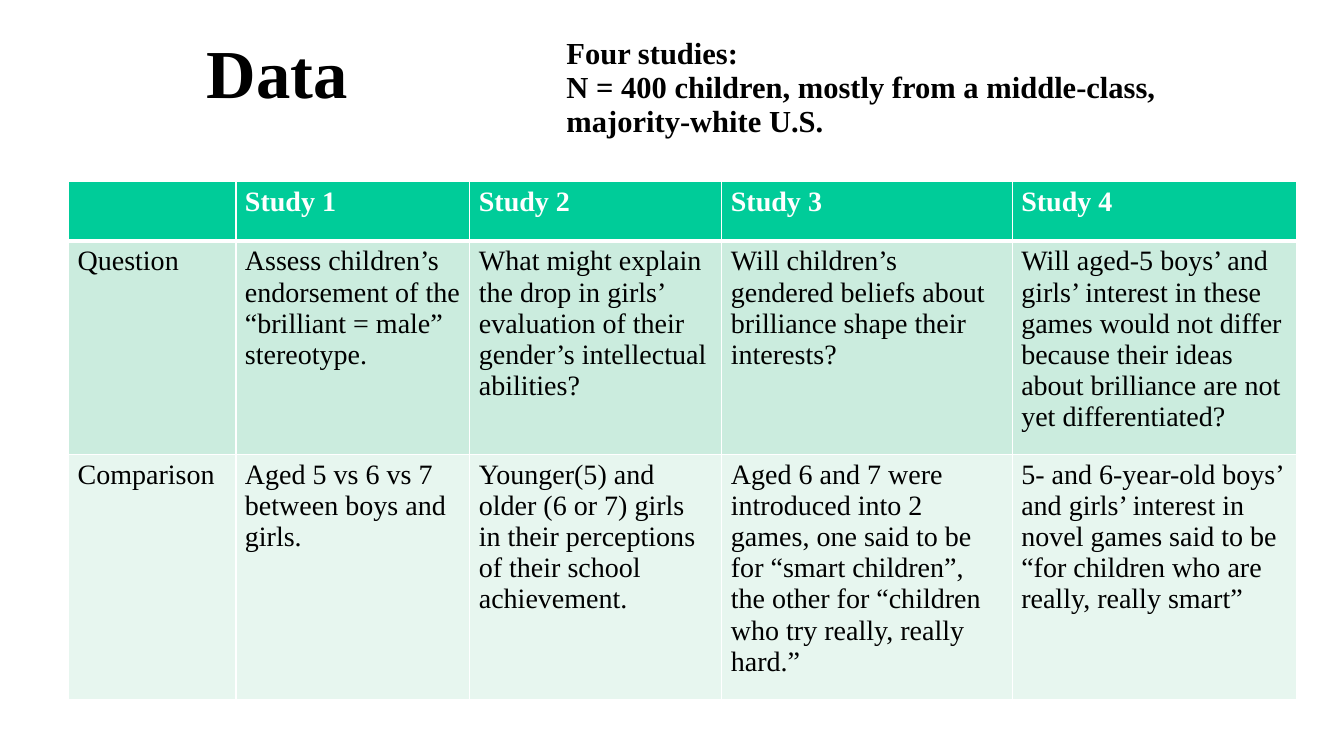
"""Build the Data slide: a heading, the sample and a table of four studies."""
from lxml.etree import SubElement
from pptx import Presentation
from pptx.dml.color import RGBColor
from pptx.enum.text import MSO_AUTO_SIZE
from pptx.oxml.ns import qn
from pptx.util import Inches, Pt

FONT = "Times New Roman"
COLORS = {"black": "000000", "white": "FFFFFF", "header": "00CC99",
          "question": "CBECDE", "comparison": "E7F6EF"}

HEADINGS = [
    (["Data"], (1.95, 0.32, 1.61, 0.87), 49, False),
    (["Four studies:",
      "N = 400 children, mostly from a middle-class, majority-white U.S. "],
     (5.52, 0.32, 6.14, 1.12), 21.8, True),
]

STUDIES = [
    ["", "Study 1", "Study 2", "Study 3", "Study 4"],
    ["Question",
     "Assess children’s endorsement of the “brilliant = male” stereotype.",
     "What might explain the drop in girls’ evaluation of their gender’s "
     "intellectual abilities?",
     "Will children’s gendered beliefs about brilliance shape their interests?",
     "Will aged-5 boys’ and girls’ interest in these games would not differ "
     "because their ideas about brilliance are not yet differentiated?"],
    ["Comparison",
     "Aged 5 vs 6 vs 7 between boys and girls.",
     "Younger(5) and older (6 or 7) girls in their perceptions of their school "
     "achievement.",
     "Aged 6 and 7 were introduced into 2 games, one said to be for “smart "
     "children”, the other for “children who try really, really hard.”",
     "5- and 6-year-old boys’ and girls’ interest in novel games said to be "
     "“for children who are really, really smart”"],
]
ROW_FILLS = ["header", "question", "comparison"]
COL_WIDTHS = [1.66, 2.32, 2.5, 2.88, 2.82]
ROW_HEIGHTS = [0.59, 2.12, 2.12]
TABLE_LEFT, TABLE_TOP = 0.68, 1.8


def rgb(name):
    return RGBColor.from_string(COLORS[name])


def style(p, size, color, bold):
    for r in p.runs:
        r.font.name, r.font.size, r.font.bold = FONT, Pt(size), bold
        r.font.color.rgb = rgb(color)


def add_heading(s, lines, box, size, wrap):
    tf = s.shapes.add_textbox(*map(Inches, box)).text_frame
    tf.word_wrap = wrap
    tf.auto_size = MSO_AUTO_SIZE.SHAPE_TO_FIT_TEXT
    tf.text = "\n".join(lines)
    for p in tf.paragraphs:
        p.line_spacing = 0.93
        style(p, size, "black", True)


def set_borders(cell, widths):
    tcPr = cell._tc.get_or_add_tcPr()
    for i, (side, width) in enumerate(widths.items()):
        ln = SubElement(tcPr, qn(f"a:ln{side}"), w=str(Pt(width)))
        fill = SubElement(ln, qn("a:solidFill"))
        SubElement(fill, qn("a:srgbClr"), val=COLORS["white"])
        tcPr.insert(i, ln)


def add_studies(s):
    table = s.shapes.add_table(
        len(ROW_HEIGHTS), len(COL_WIDTHS), Inches(TABLE_LEFT), Inches(TABLE_TOP),
        Inches(sum(COL_WIDTHS)), Inches(sum(ROW_HEIGHTS))).table
    for col, width in zip(table.columns, COL_WIDTHS):
        col.width = Inches(width)
    for i, (row, height) in enumerate(zip(table.rows, ROW_HEIGHTS)):
        row.height = Inches(height)
        header = i == 0
        borders = {"L": 1, "R": 1, "T": 3 if i == 1 else 1, "B": 3 if header else 1}
        for cell, text in zip(row.cells, STUDIES[i]):
            cell.text = text
            cell.margin_left = cell.margin_right = Inches(0.09)
            cell.margin_top = cell.margin_bottom = Inches(0.05)
            cell.fill.solid()
            cell.fill.fore_color.rgb = rgb(ROW_FILLS[i])
            set_borders(cell, borders)
            style(cell.text_frame.paragraphs[0], 20,
                  "white" if header else "black", header)


prs = Presentation()
prs.slide_width, prs.slide_height = Inches(13.33), Inches(7.5)
s = prs.slides.add_slide(prs.slide_layouts[6])
for heading in HEADINGS:
    add_heading(s, *heading)
add_studies(s)
prs.save("out.pptx")
